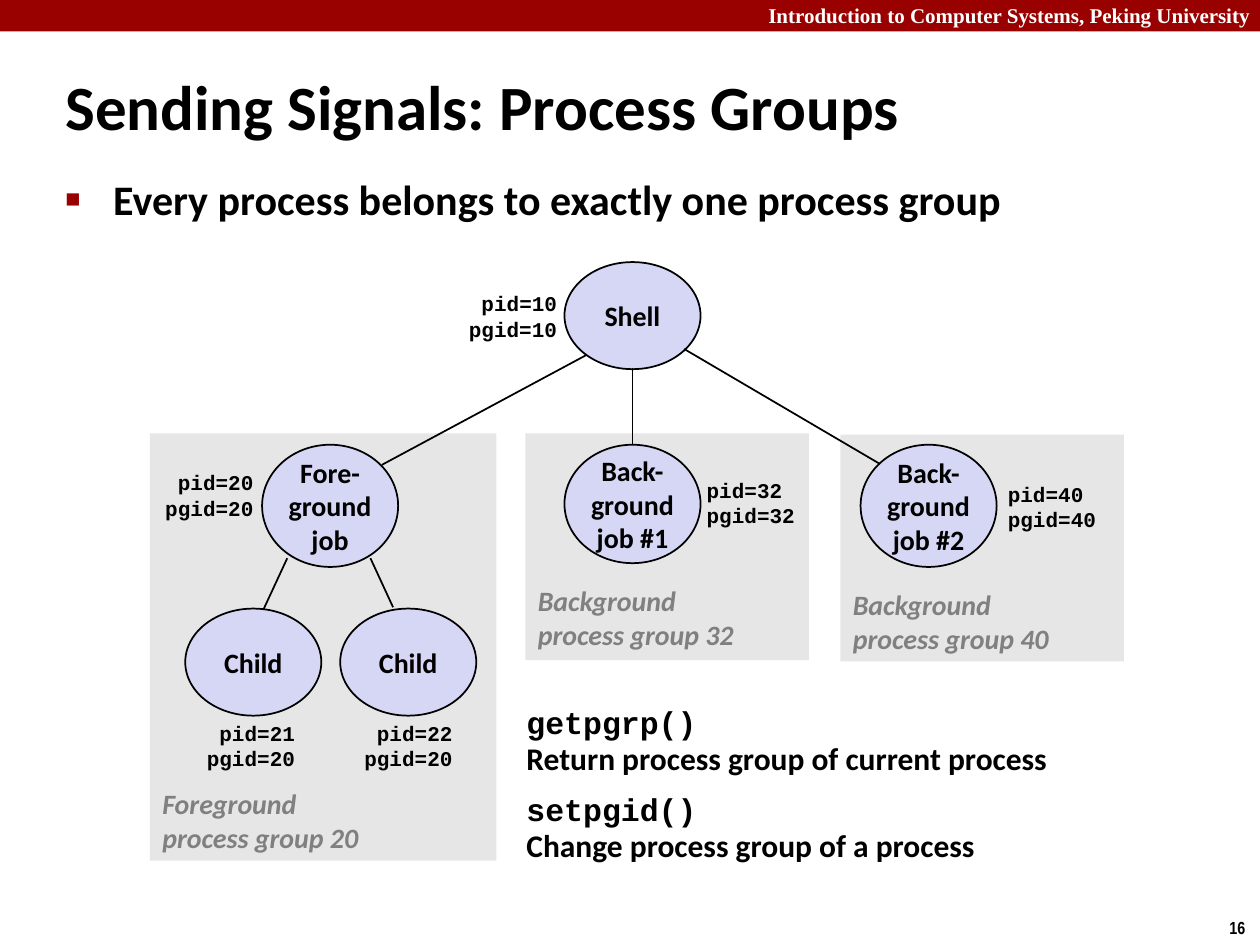
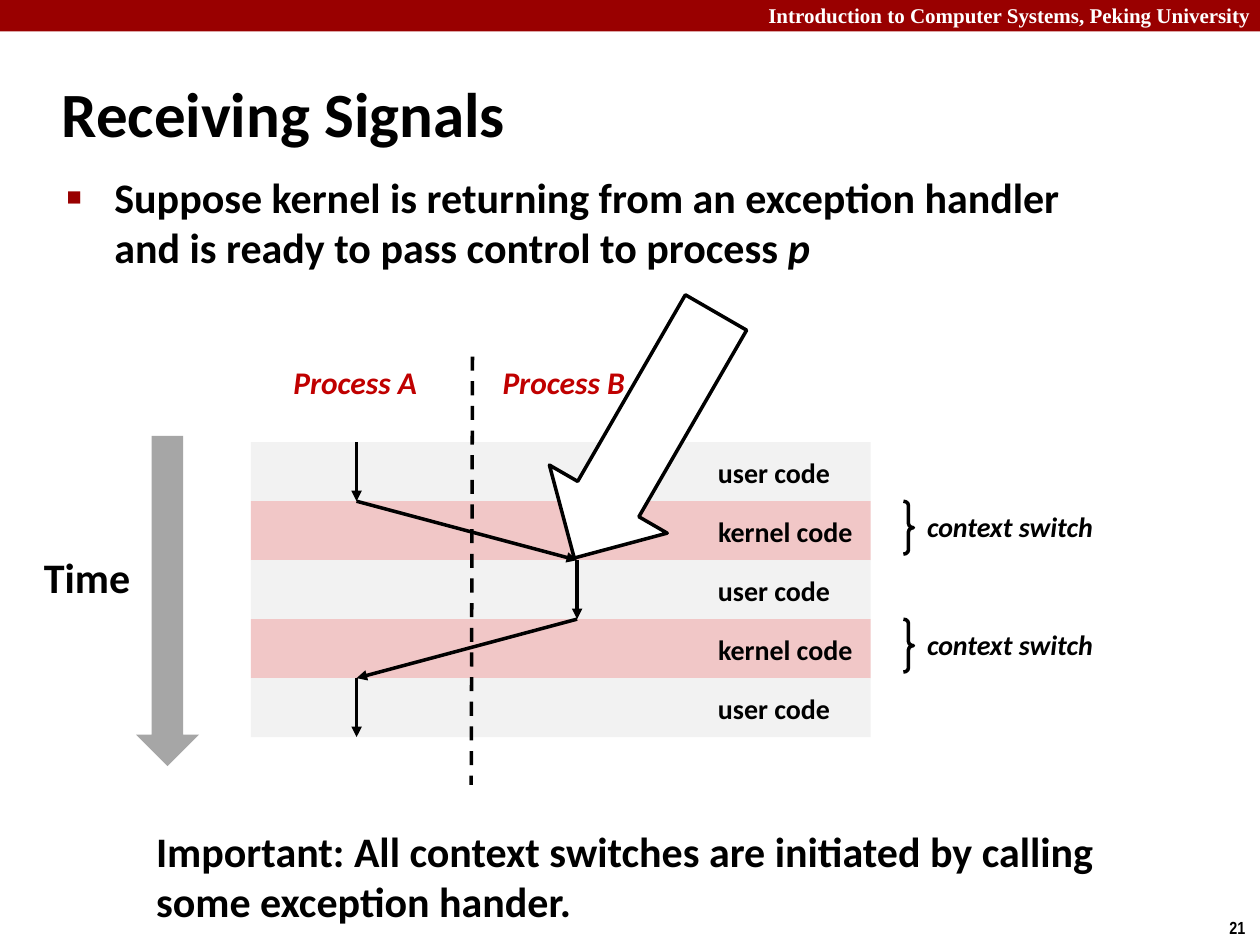
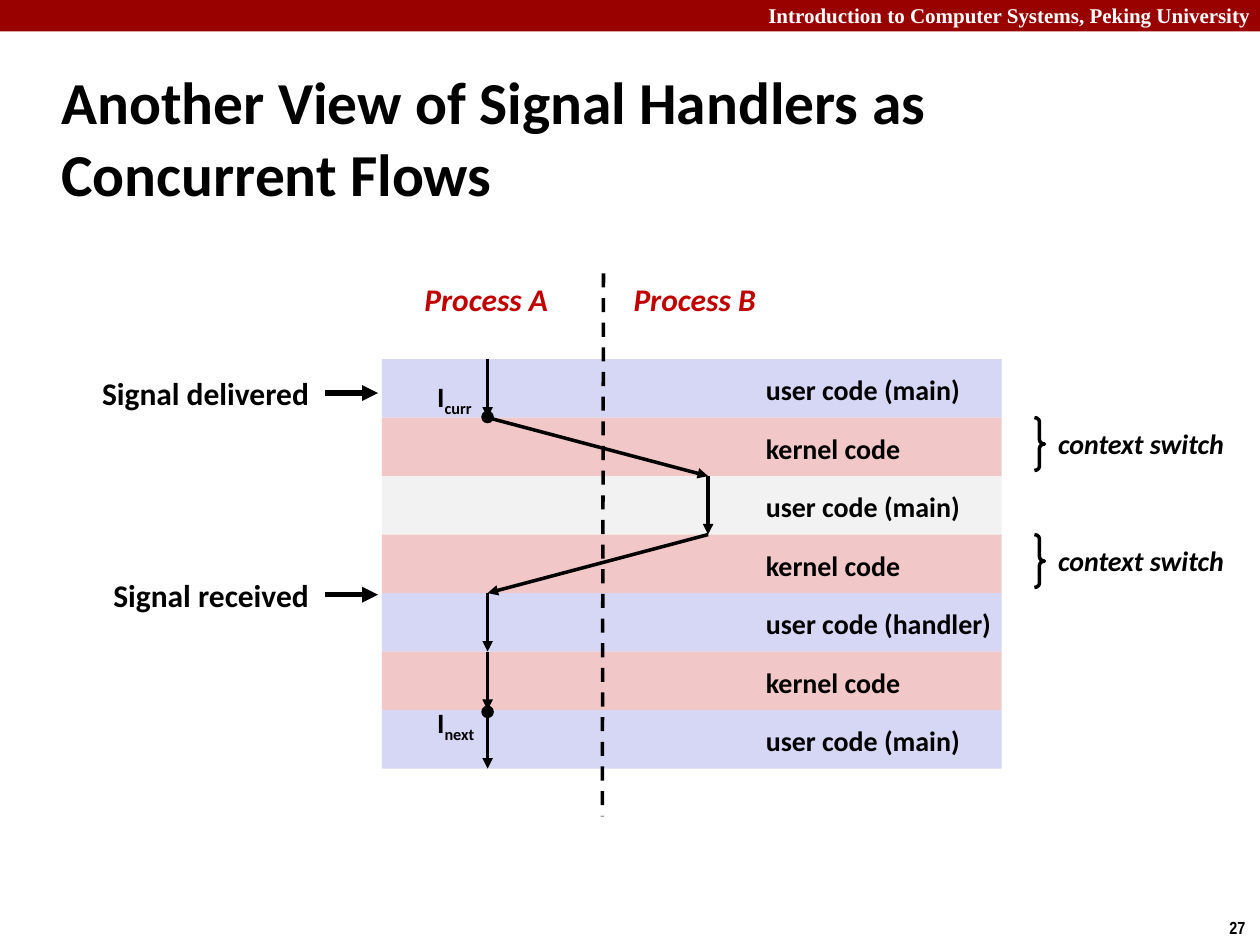
"""Three slides on process groups, signals and context switches."""
from lxml.etree import SubElement
from pptx import Presentation
from pptx.dml.color import RGBColor
from pptx.enum.dml import MSO_LINE
from pptx.enum.shapes import MSO_CONNECTOR, MSO_SHAPE
from pptx.enum.text import MSO_ANCHOR, MSO_AUTO_SIZE, PP_ALIGN
from pptx.oxml.ns import qn
from pptx.util import Inches, Pt

HUES = {
    "black": "000000", "white": "FFFFFF", "maroon": "990000", "red": "C00000",
    "lilac": "D6D6F5", "pink": "F1C7C7", "pale": "F2F2F2", "panel": "E6E6E6",
    "gray": "808080", "silver": "A6A6A6",
}
COLORS = {name: RGBColor.from_string(code) for name, code in HUES.items()}
MONO = "Courier New"
RIGHT, CENTER = PP_ALIGN.RIGHT, PP_ALIGN.CENTER
MIDDLE = MSO_ANCHOR.MIDDLE


def put(slide, kind, box, rows=(), size=16, font="Calibri", tint="black",
        fill=None, edge=0, italic=None, align=None, anchor=MSO_ANCHOR.TOP,
        wrap=False, side=0.1):
    """Add a preset shape, or a text box if kind is None; a row is a tuple of runs."""
    place = [Inches(n) for n in box]
    if kind is None:
        shape = slide.shapes.add_textbox(*place)
    else:
        shape = slide.shapes.add_shape(kind, *place)
        shape.shadow.inherit = False
        if fill:
            shape.fill.solid()
            shape.fill.fore_color.rgb = COLORS[fill]
        else:
            shape.fill.background()
        if edge:
            shape.line.color.rgb = COLORS["black"]
            shape.line.width = Pt(edge)
        else:
            shape.line.fill.background()
    frame = shape.text_frame
    frame.word_wrap = wrap
    frame.vertical_anchor = anchor
    frame.margin_left = frame.margin_right = Inches(side)
    if kind is None and not wrap:
        frame.auto_size = MSO_AUTO_SIZE.SHAPE_TO_FIT_TEXT
    for i, row in enumerate(rows):
        para = frame.add_paragraph() if i else frame.paragraphs[0]
        para.alignment = align
        for part in row:
            if part == "\n":
                para.add_line_break()
                continue
            run = para.add_run()
            run.text = part
            run.font.name = font
            run.font.size = Pt(size)
            run.font.bold = True
            run.font.italic = italic
            run.font.color.rgb = COLORS[tint]
    return shape


def link(slide, start, end, width=1, arrow=False, dash=False):
    """Draw a straight black line, with an arrowhead or dashes if asked."""
    ends = [Inches(n) for n in (*start, *end)]
    line = slide.shapes.add_connector(MSO_CONNECTOR.STRAIGHT, *ends)
    line.line.color.rgb = COLORS["black"]
    line.line.width = Pt(width)
    if dash:
        line.line.dash_style = MSO_LINE.DASH
    props = line._element.spPr
    if arrow:
        SubElement(props.find(qn("a:ln")), qn("a:tailEnd"), type="triangle")
    SubElement(props, qn("a:effectLst"))


deck = Presentation()
deck.slide_width, deck.slide_height = Inches(10), Inches(7.5)

HEADS = [
    ("16", "Sending Signals: Process Groups", 0.42, 0.42, 36),
    ("21", "Receiving Signals", 0.39, 0.48, 36),
    ("27", "Another View of Signal Handlers as Concurrent Flows", 0.39, 0.67, 34),
]
for number, title, x, y, size in HEADS:
    slide = deck.slides.add_slide(deck.slide_layouts[6])
    put(slide, MSO_SHAPE.RECTANGLE, (0, 0, 10, 0.25), fill="maroon")
    put(slide, None, (6, -0.03, 4.07, 0.3),
        [("Introduction to Computer Systems, Peking University",)],
        12, "Times New Roman", "white", wrap=True)
    put(slide, None, (9.66, 7.23, 0.34, 0.27), [(number,)], 10, "Arial Narrow")
    put(slide, None, (x, y, 8.3, 0.83), [(title,)], size, anchor=MIDDLE, wrap=True)
groups, signals, flows = deck.slides

POINTS = [
    (groups, (0.42, 1.33, 8.44, 0.67),
     ("Every process belongs to exactly one process group",)),
    (signals, (0.43, 1.31, 8.64, 1.19),
     ("Suppose kernel is returning from an exception handler "
      "and is ready to pass control to process ", "p")),
]
for slide, box, row in POINTS:
    body = put(slide, None, box, [row], 24, wrap=True)
    para = body.text_frame.paragraphs[0]
    props = para._p.get_or_add_pPr()
    props.set("marL", str(Inches(0.38)))
    props.set("indent", str(-Inches(0.38)))
    SubElement(SubElement(props, qn("a:buClr")), qn("a:srgbClr"), val=HUES["maroon"])
    SubElement(props, qn("a:buSzPct"), val="60000")
    SubElement(props, qn("a:buFont"), typeface="Arial")
    SubElement(props, qn("a:buChar"), char="■")
    for run in para.runs[1:]:
        run.font.italic = True

PANELS = [
    ((6.67, 3.45, 2.25, 1.8), (6.67, 4.61, 1.78, 0.64), "Background", "40"),
    ((4.17, 3.44, 2.25, 1.8), (4.17, 4.58, 1.78, 0.64), "Background", "32"),
    ((1.19, 3.44, 2.75, 3.39), (1.19, 6.19, 1.78, 0.64), "Foreground", "20"),
]
for box, spot, name, group in PANELS:
    put(groups, MSO_SHAPE.RECTANGLE, box, fill="panel")
    put(groups, None, spot, [(name,), (f"process group {group}",)],
        tint="gray", italic=True, anchor=MIDDLE)

NODES = [
    (2.08, 3.53, 0.97, ["Fore-", "ground", "job"]),
    (4.48, 3.53, 0.94, ["Back-", "ground", "job #1"]),
    (6.83, 3.53, 0.97, ["Back-", "ground", "job #2"]),
    (4.48, 2.08, 0.85, ["Shell"]),
    (1.47, 4.83, 0.85, ["Child"]),
    (2.7, 4.83, 0.85, ["Child"]),
]
for x, y, high, words in NODES:
    put(groups, MSO_SHAPE.OVAL, (x, y, 1.08, high), [(word,) for word in words],
        fill="lilac", edge=1, align=CENTER, anchor=MIDDLE)

EDGES = [
    ((2.28, 4.43), (2.09, 4.84)),
    ((2.94, 4.43), (3.12, 4.82)),
    ((5.02, 2.92), (5.02, 3.53)),
    ((4.65, 2.82), (3.03, 3.69)),
    ((5.43, 2.77), (6.98, 3.68)),
]
for start, end in EDGES:
    link(groups, start, end)

IDS = [
    (3.61, 2.26, 10, 10, RIGHT), (1.2, 3.68, 20, 20, RIGHT),
    (5.51, 3.74, 32, 32, None), (7.9, 3.77, 40, 40, None),
    (1.53, 5.67, 21, 20, RIGHT), (2.78, 5.67, 22, 20, RIGHT),
]
for x, y, pid, group, align in IDS:
    put(groups, None, (x, y, 0.91, 0.5), [(f"pid={pid}",), (f"pgid={group}",)],
        12, MONO, align=align, anchor=MIDDLE)

calls = put(groups, None, (4.08, 5.55, 4.5, 1.5), [
    ("getpgrp()", "\n", "Return process group of current process"),
    ("setpgid()", "\n", "Change process group of a process"),
], 18, wrap=True)
for para in calls.text_frame.paragraphs:
    para.line_spacing = 0.95
    para.runs[0].font.name = MONO
calls.text_frame.paragraphs[1].space_before = Pt(9)

USER, KERNEL, MAIN = "user code", "kernel code", "user code (main)"
WIDTHS = {USER: 1.1, KERNEL: 1.28, MAIN: 1.76, "user code (handler)": 2.02}
CHARTS = [
    (signals, 1.99, 3.51, 2.34, 3.61,
     [("pale", USER), ("pink", KERNEL), ("pale", USER), ("pink", KERNEL),
      ("pale", USER)]),
    (flows, 3.03, 2.85, 3.25, 2.95,
     [("lilac", MAIN), ("pink", KERNEL), ("pale", MAIN), ("pink", KERNEL),
      ("lilac", "user code (handler)"), ("pink", KERNEL), ("lilac", MAIN)]),
]
LANES = [0.84, 0.84, 2.59, 2.59, 0.84, 0.84, 0.84, 0.84]
for slide, x, y, high, shift, bands in CHARTS:
    step = high / len(bands)
    tops = [y + i * step for i in range(len(bands) + 1)]
    for top, (fill, label) in zip(tops, bands):
        put(slide, MSO_SHAPE.RECTANGLE, (x, top, 4.92, step), fill=fill)
        put(slide, None, (x + shift, top + 0.06, WIDTHS[label], 0.37), [(label,)])
    for name, left in (("A", 0.24), ("B", 1.9)):
        put(slide, None, (x + left, y - 0.68, 1.2, 0.4), [(f"Process {name}",)],
            18, tint="red", italic=True)
    link(slide, (x + 1.76, y - 0.68), (x + 1.75, y + high + 0.38), 2, dash=True)
    for top in (tops[1], tops[3]):
        brace = put(slide, MSO_SHAPE.RIGHT_BRACE, (x + 5.18, top, 0.08, 0.42), edge=2)
        brace.adjustments[0] = 0.42
        put(slide, None, (x + 5.27, top + 0.02, 1.54, 0.37), [("context switch",)],
            italic=True)
    stops = [(x + lane, top) for lane, top in zip(LANES, tops)]
    for start, end in zip(stops, stops[1:]):
        link(slide, start, end, 2, arrow=True)

put(signals, None, (0.25, 4.33, 0.89, 0.5), [("Time",)], 24)
put(signals, MSO_SHAPE.DOWN_ARROW, (1.08, 3.46, 0.5, 2.62), fill="silver")
big = put(signals, MSO_SHAPE.DOWN_ARROW, (4.58, 2.33, 1.08, 2.25), fill="white", edge=2)
big.adjustments[0] = 0.52
big.rotation = 30
put(signals, None, (1.14, 6.5, 8.19, 0.91),
    [("Important: All context switches are initiated by calling "
      "some exception hander.",)], 24, wrap=True)

for x, y, wide, word in ((0.76, 2.92, 1.75, "delivered"), (0.85, 4.52, 1.66, "received")):
    put(flows, None, (x, y, wide, 0.4), [(f"Signal {word}",)], 18, side=0.05)
    link(flows, (2.58, y + 0.2), (3, y + 0.2), 3, arrow=True)
for y, wide, word, dot in ((2.96, 0.41, "curr", 3.26), (5.55, 0.44, "next", 5.6)):
    mark = put(flows, None, (3.42, y, wide, 0.37), [("I", word)], side=0.05)
    low = mark.text_frame.paragraphs[0].runs[1]
    low._r.get_or_add_rPr().set("baseline", "-25000")
    put(flows, MSO_SHAPE.OVAL, (3.82, dot, 0.1, 0.1), fill="black")

deck.save("out.pptx")
